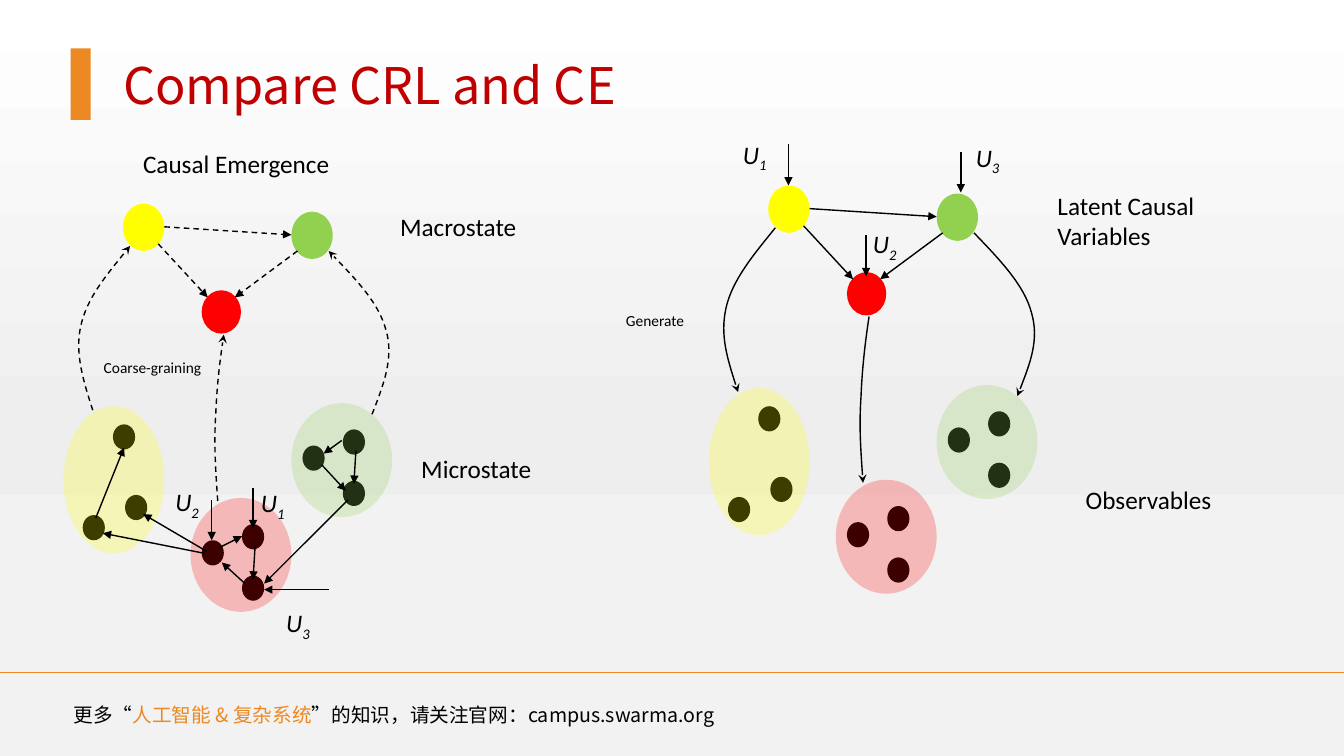
from copy import deepcopy

from lxml import etree
from pptx import Presentation, util as u
from pptx.dml.color import RGBColor
from pptx.enum import dml, shapes, text
from pptx.oxml.ns import qn

COLORS = {"title": "C00000", "accent": "EC8922", "ink": "000000",
          "yellow": "FFFF00", "red": "FF0000", "green": "92D050"}
BACKDROP = [(0, "FFFFFF"), (57, "EEEEEE"), (74, "F2F2F2"), (100, "F2F2F2")]
HAN_FONT, LABEL_FONT = "Noto Sans CJK SC", "Calibri"

# Diagram geometry in inches, from the diagram's top left corner
VARIABLES = [("yellow", 0.59, 0, 0.41, 0.47), ("red", 1.37, 0.86, 0.39, 0.43),
             ("green", 2.26, 0.08, 0.41, 0.47)]
TRIAD = [(0.51, 0.26), (0.51, 0.77), (0.11, 0.42)]
CLOUDS = [("yellow", 0, 2.01, 1, 1.46, [(0.49, 0.18), (0.19, 1.08), (0.61, 0.88)]),
          ("red", 1.26, 2.92, 1, 1.13, TRIAD), ("green", 2.26, 1.98, 1, 1.13, TRIAD)]
CAUSES = [(1, 0.23, 2.26, 0.31), (2.32, 0.47, 1.7, 0.93), (0.94, 0.4, 1.43, 0.93)]
MAPPINGS = [  # start, then three points for each Bezier piece
    [(0.29, 2.05), (0.2, 1.77), (0.11, 1.49), (0.17, 1.22), (0.23, 0.94), (0.45, 0.68), (0.66, 0.42)],
    [(3.06, 2.09), (3.17, 1.81), (3.28, 1.53), (3.2, 1.26), (3.13, 0.99), (2.88, 0.73), (2.63, 0.47)],
    [(1.53, 2.95), (1.51, 2.66), (1.49, 2.38), (1.51, 2.1), (1.52, 1.83), (1.55, 1.56), (1.59, 1.3)]]

# Left side only: links among the micro dots
MICRO_LINKS = [(1.9, 3.4, 1.88, 3.73), (1.55, 3.41, 1.77, 3.3), (1.8, 3.77, 1.57, 3.56),
               (1.4, 3.47, 0.39, 3.27), (0.32, 3.12, 0.6, 2.42), (1.42, 3.45, 0.79, 3.08),
               (2.9, 2.45, 2.88, 2.78), (2.56, 2.59, 2.8, 2.85), (2.76, 2.35, 2.58, 2.48),
               (2.82, 2.94, 1.99, 3.77)]
EMERGENCE_NOISE = [("1", 1.86, 2.77, (1.88, 2.82, 1.88, 3.22)),
                   ("2", 1.01, 2.76, (1.47, 2.94, 1.47, 3.34)),
                   ("3", 2.11, 3.96, (2.63, 3.83, 1.99, 3.83))]
LATENT_NOISE = [("1", 0.24, -0.51, (0.79, -0.41, 0.79, 0)),
                ("2", 1.53, 0.38, (1.56, 0.49, 1.56, 0.9)),
                ("3", 2.55, -0.48, (2.5, -0.33, 2.5, 0.07))]
EMERGENCE_LABELS = [("Causal Emergence", 0.69, -0.6, 2.42, 18), ("Macrostate", 3.24, 0.03, 2.04, 18),
                    ("Microstate", 3.45, 2.43, 2.04, 18), ("Coarse-graining", 0.3, 1.48, 2.1, 11)]
LATENT_LABELS = [("Latent Causal Variables", 3.36, 0, 1.63, 18),
                 ("Observables", 3.64, 2.92, 2.04, 18), ("Generate", -0.92, 1.2, 1.16, 11)]


def inches(value):
    return u.Cm(value * 2.54)


def rgb(name):
    return RGBColor.from_string(COLORS[name])


def style_font(font, size, face, color):
    font.size, font.name = u.Pt(size), face
    font.color.rgb = rgb(color)


def set_han_font(run):
    etree.SubElement(run._r.get_or_add_rPr(), qn("a:ea")).set("typeface", HAN_FONT)


def style_line(line, color="ink", dashed=False, end=None, arrow="triangle"):
    line.width = u.Pt(1)
    line.color.rgb = rgb(color)
    if dashed:
        line.dash_style = dml.MSO_LINE.DASH
    if end:
        etree.SubElement(line._get_or_add_ln(), qn("a:" + end)).set("type", arrow)


def add_filled(slide, kind, box, color, alpha=None):
    shape = slide.shapes.add_shape(kind, *map(inches, box))
    shape.shadow.inherit = False
    shape.fill.solid()
    shape.fill.fore_color.rgb = rgb(color)
    shape.line.fill.background()
    if alpha:
        tint = shape._element.spPr.find(".//" + qn("a:srgbClr"))
        etree.SubElement(tint, qn("a:alpha")).set("val", str(alpha * 1000))


def add_line(slide, ends, **look):
    line = slide.shapes.add_connector(shapes.MSO_CONNECTOR.STRAIGHT, *map(inches, ends))
    style_line(line.line, **look)
    etree.SubElement(line._element.spPr, qn("a:effectLst"))


def add_curve(slide, points, **look):
    start, *rest = [(inches(x), inches(y)) for x, y in points]
    builder = slide.shapes.build_freeform(*start)
    builder.add_line_segments(rest, close=False)
    curve = builder.convert_to_shape()
    # Turn each three straight segments into one Bezier piece
    outline = curve._element.spPr.find(".//" + qn("a:path"))
    segments = outline.findall(qn("a:lnTo"))
    for first in range(0, len(segments), 3):
        bezier = etree.SubElement(outline, qn("a:cubicBezTo"))
        for segment in segments[first:first + 3]:
            bezier.append(segment[0])
            outline.remove(segment)
    curve.shadow.inherit = False
    curve.fill.background()
    style_line(curve.line, arrow="stealth", **look)


def add_label(slide, words, box, size=18, face=LABEL_FONT):
    frame = slide.shapes.add_textbox(*map(inches, box)).text_frame
    frame.word_wrap = True
    label = frame.paragraphs[0]
    label.text = words
    style_font(label.font, size, face, "ink")
    return label


def draw_backdrop(slide):
    fill = slide.background.fill
    fill.gradient()
    fill.gradient_angle = 270
    stops = slide.element.find(".//" + qn("a:gsLst"))
    stops.extend([deepcopy(stops[0]) for _ in BACKDROP[2:]])
    for stop, (position, color) in zip(fill.gradient_stops, BACKDROP):
        stop.color.rgb = RGBColor.from_string(color)
        stop.position = position / 100


def draw_header(slide, left, top, height):
    title = slide.shapes.title
    title.left, title.top = inches(left + 0.42), inches(top)
    title.width, title.height = inches(7.18), inches(height)
    frame = title.text_frame
    frame.text = "Compare CRL and CE"
    frame.auto_size = text.MSO_AUTO_SIZE.NONE
    frame.vertical_anchor = text.MSO_ANCHOR.MIDDLE
    heading = frame.paragraphs[0]
    heading.alignment = text.PP_ALIGN.LEFT
    style_font(heading.font, 36, HAN_FONT, "title")
    add_filled(slide, shapes.MSO_SHAPE.RECTANGLE, (left, top, 0.2, height), "accent")


def draw_footer(slide, top, width):
    add_line(slide, (0, top, width, top), color="accent")
    note = add_label(slide, "更多“", (0.63, top + 0.25, 7.85, 0.34), 14, HAN_FONT)
    topic = note.add_run()
    topic.text = "人工智能 & 复杂系统"
    topic.font.color.rgb = rgb("accent")
    note.add_run().text = "”的知识，请关注官网：campus.swarma.org"
    for run in note.runs:
        set_han_font(run)


def draw_diagram(slide, left, top, labels, noise, links=(), dashed=False, mapping_end="headEnd"):
    def shifted(ends):
        x1, y1, x2, y2 = ends
        return left + x1, top + y1, left + x2, top + y2

    oval = shapes.MSO_SHAPE.OVAL
    # Dots under their translucent clouds
    for color, x, y, width, height, dots in CLOUDS:
        for dx, dy in dots:
            add_filled(slide, oval, (left + x + dx, top + y + dy, 0.22, 0.25), "ink")
        add_filled(slide, oval, (left + x, top + y, width, height), color, alpha=24)
    # Variables and the arrows between them
    for color, x, y, width, height in VARIABLES:
        add_filled(slide, oval, (left + x, top + y, width, height), color)
    for ends in CAUSES:
        add_line(slide, shifted(ends), dashed=dashed, end="tailEnd")
    for points in MAPPINGS:
        add_curve(slide, [(left + x, top + y) for x, y in points], dashed=dashed, end=mapping_end)
    # Links, noise terms and labels
    for ends in links:
        add_line(slide, shifted(ends), end="tailEnd")
    for index, x, y, ends in noise:
        add_line(slide, shifted(ends), end="tailEnd")
        term = add_label(slide, "U", (left + x, top + y, 0.6, 0.4))
        term.font.italic = True
        subscript = term.add_run()
        subscript.text = index
        subscript._r.get_or_add_rPr().set("baseline", "-25000")
    for words, x, y, width, size in labels:
        add_label(slide, words, (left + x, top + y, width, size / 45), size)


def main():
    deck = Presentation()
    deck.slide_width, deck.slide_height = inches(13.33), inches(7.5)
    slide = deck.slides.add_slide(deck.slide_layouts[5])
    draw_backdrop(slide)
    draw_header(slide, 0.7, 0.48, 0.71)
    draw_footer(slide, 6.67, 13.33)
    draw_diagram(slide, 0.63, 2.02, EMERGENCE_LABELS, EMERGENCE_NOISE, MICRO_LINKS,
                 dashed=True, mapping_end="tailEnd")
    draw_diagram(slide, 7.03, 1.84, LATENT_LABELS, LATENT_NOISE)
    deck.save("out.pptx")


if __name__ == "__main__":
    main()
